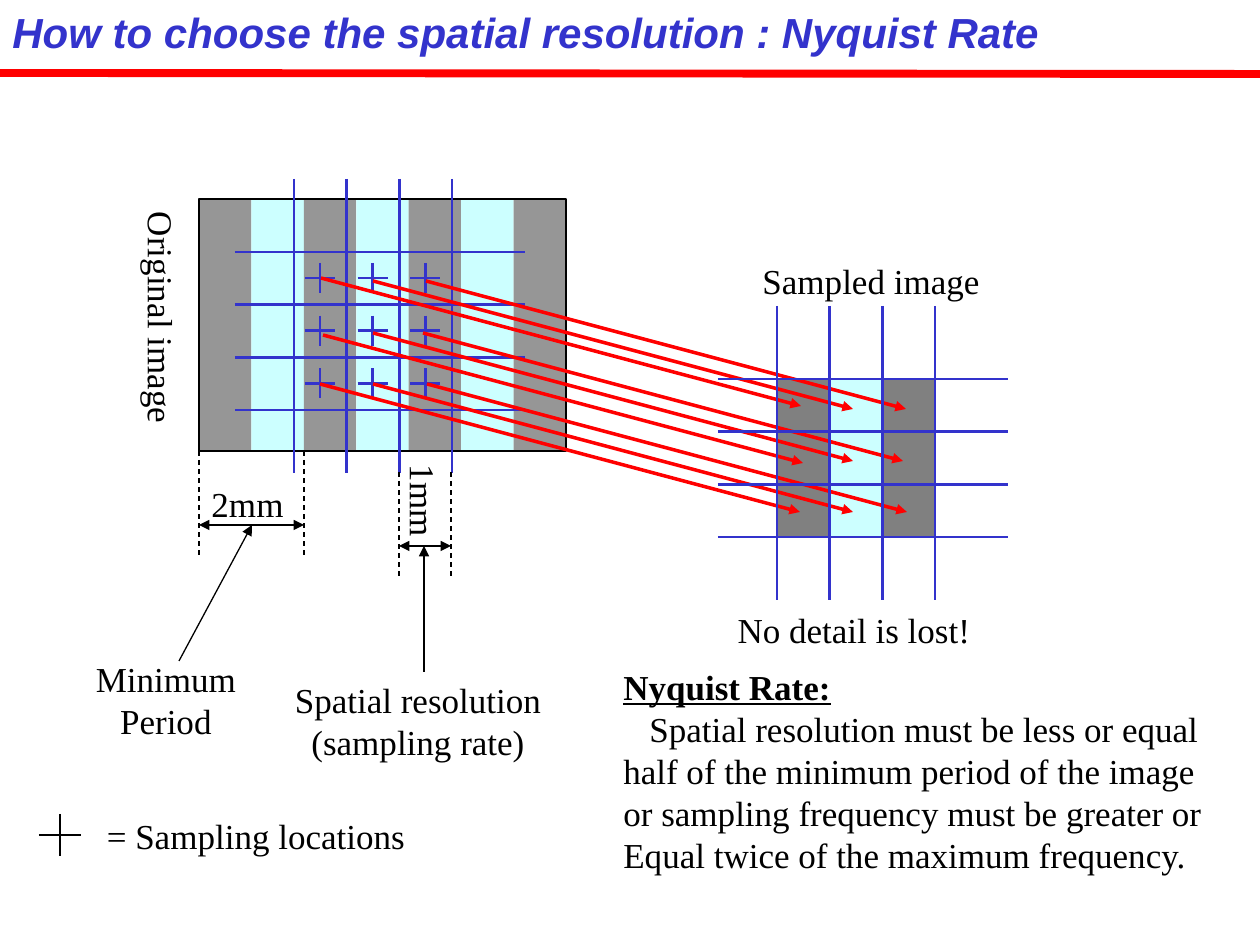
from lxml import etree
from pptx import Presentation
from pptx.dml.color import RGBColor
from pptx.enum.dml import MSO_LINE
from pptx.enum.shapes import MSO_CONNECTOR, MSO_SHAPE
from pptx.enum.text import MSO_AUTO_SIZE, PP_ALIGN
from pptx.oxml.ns import qn
from pptx.util import Pt

SCALE = 914400 / 126
STRAIGHT = MSO_CONNECTOR.STRAIGHT
RECTANGLE = MSO_SHAPE.RECTANGLE
DASH = MSO_LINE.DASH
FIT_SHAPE = MSO_AUTO_SIZE.SHAPE_TO_FIT_TEXT
LEFT, CENTER = PP_ALIGN.LEFT, PP_ALIGN.CENTER

BLACK, BLUE, RED = "000000", "3333CC", "FF0000"
GRAY, DARK_GRAY, CYAN = "969696", "808080", "CCFFFF"
GRID_SIZE = 158
CELL = GRID_SIZE / 3
SAMPLE_STARTS = [
    (321, 278), (373, 281), (426, 281),
    (423, 333), (373, 333), (323, 335),
    (427, 384), (373, 384), (320, 384),
]


def px(value):
    return round(value * SCALE)


def color(hex_string):
    return RGBColor.from_string(hex_string)


def add_line(slide, start, end, line_color=BLACK, width=0.75, dash=None, head=False, tail=False):
    points = [px(value) for value in (*start, *end)]
    connector = slide.shapes.add_connector(STRAIGHT, *points)
    connector.line.color.rgb = color(line_color)
    connector.line.width = Pt(width)
    if dash:
        connector.line.dash_style = dash
    properties = connector._element.spPr
    outline = properties.find(qn("a:ln"))
    for tag, wanted in (("a:headEnd", head), ("a:tailEnd", tail)):
        if wanted:
            etree.SubElement(outline, qn(tag), type="triangle")
    etree.SubElement(properties, qn("a:effectLst"))


def add_rectangle(slide, box, fill=None, line_color=None):
    shape = slide.shapes.add_shape(RECTANGLE, *[px(value) for value in box])
    shape.shadow.inherit = False
    if fill:
        shape.fill.solid()
        shape.fill.fore_color.rgb = color(fill)
    else:
        shape.fill.background()
    if line_color:
        shape.line.color.rgb = color(line_color)
        shape.line.width = Pt(0.75)
    else:
        shape.line.fill.background()


def add_text(slide, text, box, font="Times New Roman", size=20, text_color=BLACK,
             bold=False, italic=False, align=CENTER, vertical=False):
    shape = slide.shapes.add_textbox(*[px(value) for value in box])
    frame = shape.text_frame
    frame.word_wrap = False
    frame.auto_size = FIT_SHAPE
    if vertical:
        frame.margin_left = frame.margin_right = px(6)
        frame.margin_top = frame.margin_bottom = px(13)
        frame._txBody.bodyPr.set("vert", "eaVert")
    frame.text = text
    for paragraph in frame.paragraphs:
        paragraph.alignment = align
        for run in paragraph.runs:
            run.font.name = font
            run.font.size = Pt(size)
            run.font.bold = bold
            run.font.italic = italic
            run.font.color.rgb = color(text_color)
    return frame


def add_cross(slide, center, reach, line_color):
    x, y = center
    add_line(slide, (x, y - reach), (x, y + reach), line_color, 1.5)
    add_line(slide, (x - reach, y), (x + reach, y), line_color, 1.5)


def add_grid(slide, left, top):
    for index in range(4):
        x, y = left + index * CELL, top + index * CELL
        add_line(slide, (x, top - 73), (x, top + GRID_SIZE + 63), BLUE, 1.5)
        add_line(slide, (left - 59, y), (left + GRID_SIZE + 73, y), BLUE, 1.5)


def add_header(slide, left, top, width):
    add_line(slide, (left, top + 73), (left + width, top + 74), RED, 4.5)
    add_text(slide, "How to choose the spatial resolution : Nyquist Rate",
             (left, top, 1052, 63), font="Arial", size=24, text_color=BLUE,
             bold=True, italic=True, align=LEFT)


def add_original_image(slide, left, top, width, height):
    stripe = width / 7
    for index in range(7):
        fill = CYAN if index % 2 else GRAY
        add_rectangle(slide, (left + index * stripe, top, stripe, height), fill)
    add_rectangle(slide, (left, top, width, height), line_color=BLACK)
    add_text(slide, "Original image", (left - 77, top, 67, 224), vertical=True)
    grid_left, grid_top = left + 95, top + 53
    add_grid(slide, grid_left, grid_top)
    for row in range(3):
        for column in range(3):
            center = (grid_left + 26 + column * CELL, grid_top + 26 + row * CELL)
            add_cross(slide, center, 15, BLUE)


def add_sampled_cells(slide, left, top):
    for row in range(3):
        for column, fill in enumerate((DARK_GRAY, CYAN, DARK_GRAY)):
            add_rectangle(slide, (left + column * CELL, top + row * CELL, CELL, CELL), fill)


def add_sampled_grid(slide, left, top):
    add_grid(slide, left, top)
    add_text(slide, "Sampled image", (left - 36, top - 126, 260, 55))
    add_text(slide, "No detail is lost!", (left - 62, top + 223, 278, 55))


def add_measure(slide, left, top, width, height, arrow_offset):
    for x in (left, left + width):
        add_line(slide, (x, top), (x, top + height), dash=DASH)
    y = top + arrow_offset
    add_line(slide, (left, y), (left + width, y), head=True, tail=True)


def add_callout(slide, text, box, start, end):
    add_text(slide, text, box)
    add_line(slide, start, end, tail=True)


def add_legend(slide, left, top):
    add_text(slide, "= Sampling locations", (left + 45, top - 6, 344, 55))
    add_cross(slide, (left + 21, top + 21), 21, BLACK)


def add_sample_arrows(slide, run, drop):
    for x, y in SAMPLE_STARTS:
        add_line(slide, (x, y), (x + run, y + drop), RED, 2, tail=True)


def add_nyquist_rule(slide, left, top, width, height):
    lines = [
        "Nyquist Rate:",
        "Spatial resolution must be less or equal",
        "half of the minimum period of the image",
        "or sampling frequency must be greater or",
        "Equal twice of the maximum frequency.",
    ]
    frame = add_text(slide, "\n".join(lines), (left, top, width, height), align=LEFT)
    heading, opening = frame.paragraphs[:2]
    heading.runs[0].font.bold = True
    heading.runs[0].font.underline = True
    opening._p.get_or_add_pPr().set("indent", str(px(26)))


def main():
    presentation = Presentation()
    presentation.slide_width = px(1260)
    presentation.slide_height = px(945)
    slide = presentation.slides.add_slide(presentation.slide_layouts[6])
    add_header(slide, 0, 0, 1260)
    add_original_image(slide, 199, 199, 367, 252)
    add_legend(slide, 39, 814)
    add_sampled_cells(slide, 777, 379)
    add_measure(slide, 399, 472, 52, 105, 74)
    add_measure(slide, 199, 451, 105, 105, 74)
    add_callout(slide, "Minimum\nPeriod", (66, 651, 200, 97), (179, 661), (252, 525))
    add_callout(slide, "Spatial resolution\n(sampling rate)", (263, 672, 310, 97),
                (424, 672), (424, 546))
    add_sample_arrows(slide, 480, 128)
    add_sampled_grid(slide, 777, 379)
    add_nyquist_rule(slide, 611, 659, 620, 223)
    add_text(slide, "2mm", (187, 476, 121, 55))
    add_text(slide, "1mm", (384, 452, 67, 86), vertical=True)
    presentation.save("out.pptx")


if __name__ == "__main__":
    main()
